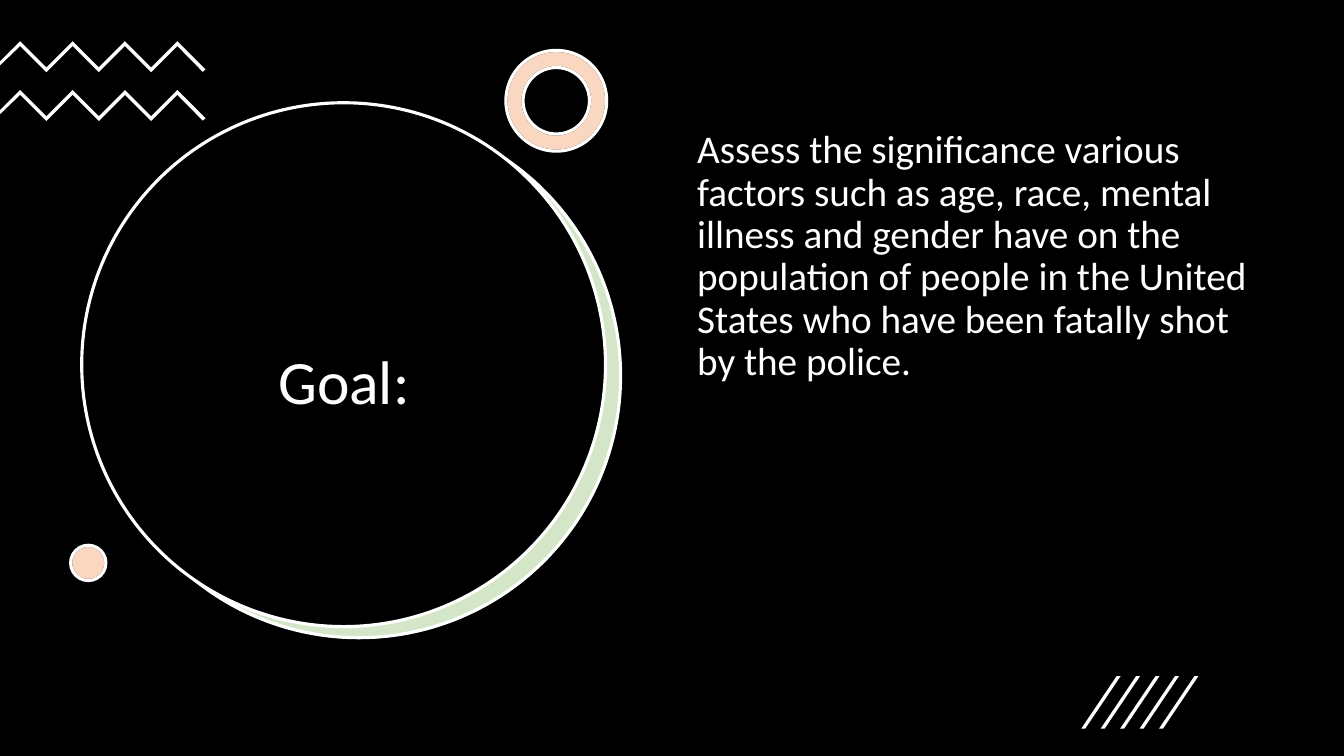
from lxml.etree import SubElement
from pptx import Presentation
from pptx.dml.color import RGBColor
from pptx.enum.shapes import MSO_SHAPE
from pptx.enum.text import MSO_ANCHOR, PP_ALIGN
from pptx.oxml.ns import qn
from pptx.util import Cm, Pt

TITLE = "Goal:"
BODY = ("Assess the significance various factors such as age, race, mental illness "
        "and gender have on the population of people in the United States who have "
        "been fatally shot by the police.")
FONT = "Calibri"
BLACK, WHITE, GREEN, ORANGE = "000000", "FFFFFF", "70AD47", "ED7D31"
TINT = 30  # opacity in percent
SLIDE_WIDTH, SLIDE_HEIGHT = 33.87, 19.05

# Round parts, back to front: left, top, diameter, fill, opacity, line
DISCS = [
    (2.46, 2.9, 13.2, WHITE, 100, None),
    (2.44, 2.87, 13.2, GREEN, TINT, WHITE),
    (2.06, 2.59, 13.2, BLACK, 100, WHITE),
]
RING = (12.75, 1.27, 2.54)
DOT = (1.78, 13.74, 0.89)
ACCENT_LAYERS = [(WHITE, 100, BLACK), (ORANGE, TINT, WHITE)]

ZIGZAG_TOPS = [1.04, 2.27]
ZIGZAG_START, ZIGZAG_STEP, ZIGZAG_TURNS, ZIGZAG_THICKNESS = 0.51, 0.66, 7, 0.12
SLASH_COUNT, SLASH_LEFT, SLASH_PITCH = 5, 27.25, 0.49
SLASH_TOP, SLASH_BOTTOM, SLASH_SLANT, SLASH_WIDTH = 17.04, 18.36, 0.89, 0.1


def color(value):
    return RGBColor.from_string(value)


def paint(shape, fill, opacity=100, line=None):
    shape.shadow.inherit = False
    shape.fill.solid()
    shape.fill.fore_color.rgb = color(fill)
    if opacity < 100:
        fill_color = shape._element.spPr.find(qn("a:solidFill")).find(qn("a:srgbClr"))
        SubElement(fill_color, qn("a:alpha")).set("val", str(opacity * 1000))
    if line:
        shape.line.color.rgb = color(line)
        shape.line.width = Pt(2.25)
    else:
        shape.line.fill.background()


def add_round(kind, left, top, diameter, fill, opacity, line):
    shape = slide.shapes.add_shape(kind, Cm(left), Cm(top), Cm(diameter), Cm(diameter))
    paint(shape, fill, opacity, line)
    return shape


def add_outline(group, points):
    corners = [(Cm(x), Cm(y)) for x, y in points]
    builder = group.shapes.build_freeform(*corners[0])
    builder.add_line_segments(corners[1:], close=True)
    paint(builder.convert_to_shape(), WHITE)


def write(shape, text, size, alignment, anchor):
    frame = shape.text_frame
    frame.word_wrap = True
    frame.vertical_anchor = anchor
    paragraph = frame.paragraphs[0]
    paragraph.text = text
    paragraph.alignment = alignment
    paragraph.line_spacing = 0.9
    paragraph.font.name = FONT
    paragraph.font.size = Pt(size)
    paragraph.font.color.rgb = color(WHITE)
    return paragraph


presentation = Presentation()
presentation.slide_width, presentation.slide_height = Cm(SLIDE_WIDTH), Cm(SLIDE_HEIGHT)
slide = presentation.slides.add_slide(presentation.slide_layouts[5])

# Backdrop and large discs
backdrop = slide.shapes.add_shape(MSO_SHAPE.RECTANGLE, 0, 0, Cm(SLIDE_WIDTH), Cm(SLIDE_HEIGHT))
paint(backdrop, BLACK)
for disc in DISCS:
    add_round(MSO_SHAPE.OVAL, *disc)

# Title, raised above the discs
title = slide.shapes.title
title.left, title.top, title.width, title.height = Cm(3.07), Cm(5.21), Cm(11.2), Cm(8.94)
write(title, TITLE, 44, PP_ALIGN.CENTER, MSO_ANCHOR.MIDDLE)
slide.shapes._spTree.append(title._element)

# Zigzags running in from the left edge
zigzags = slide.shapes.add_group_shape()
for top in ZIGZAG_TOPS:
    upper = [(ZIGZAG_START + turn * ZIGZAG_STEP, top + turn % 2 * ZIGZAG_STEP)
             for turn in range(ZIGZAG_TURNS)]
    lower = [(x, y + ZIGZAG_THICKNESS) for x, y in reversed(upper)]
    right_end = [(5.18, top + 0.71), (5.11, top + 0.77)]
    left_end = [(0, top + 0.61), (0, top + 0.51)]
    add_outline(zigzags, upper + right_end + lower + left_end)

# Ring and dot, each tinted over white
for layer in ACCENT_LAYERS:
    ring = add_round(MSO_SHAPE.DONUT, *RING, *layer)
    ring.adjustments[0] = 0.17
for layer in ACCENT_LAYERS:
    add_round(MSO_SHAPE.OVAL, *DOT, *layer)

# Body text
body = slide.shapes.add_textbox(Cm(17.32), Cm(3.15), Cm(14.5), Cm(12.09))
write(body, BODY, 28, PP_ALIGN.LEFT, MSO_ANCHOR.TOP).space_before = Pt(10)

# Slashes at the lower right
slashes = slide.shapes.add_group_shape()
for index in range(SLASH_COUNT):
    left = SLASH_LEFT + index * SLASH_PITCH
    add_outline(slashes, [
        (left + SLASH_WIDTH, SLASH_BOTTOM),
        (left, SLASH_BOTTOM),
        (left + SLASH_SLANT, SLASH_TOP),
        (left + SLASH_SLANT + SLASH_WIDTH, SLASH_TOP),
    ])

presentation.save("out.pptx")
